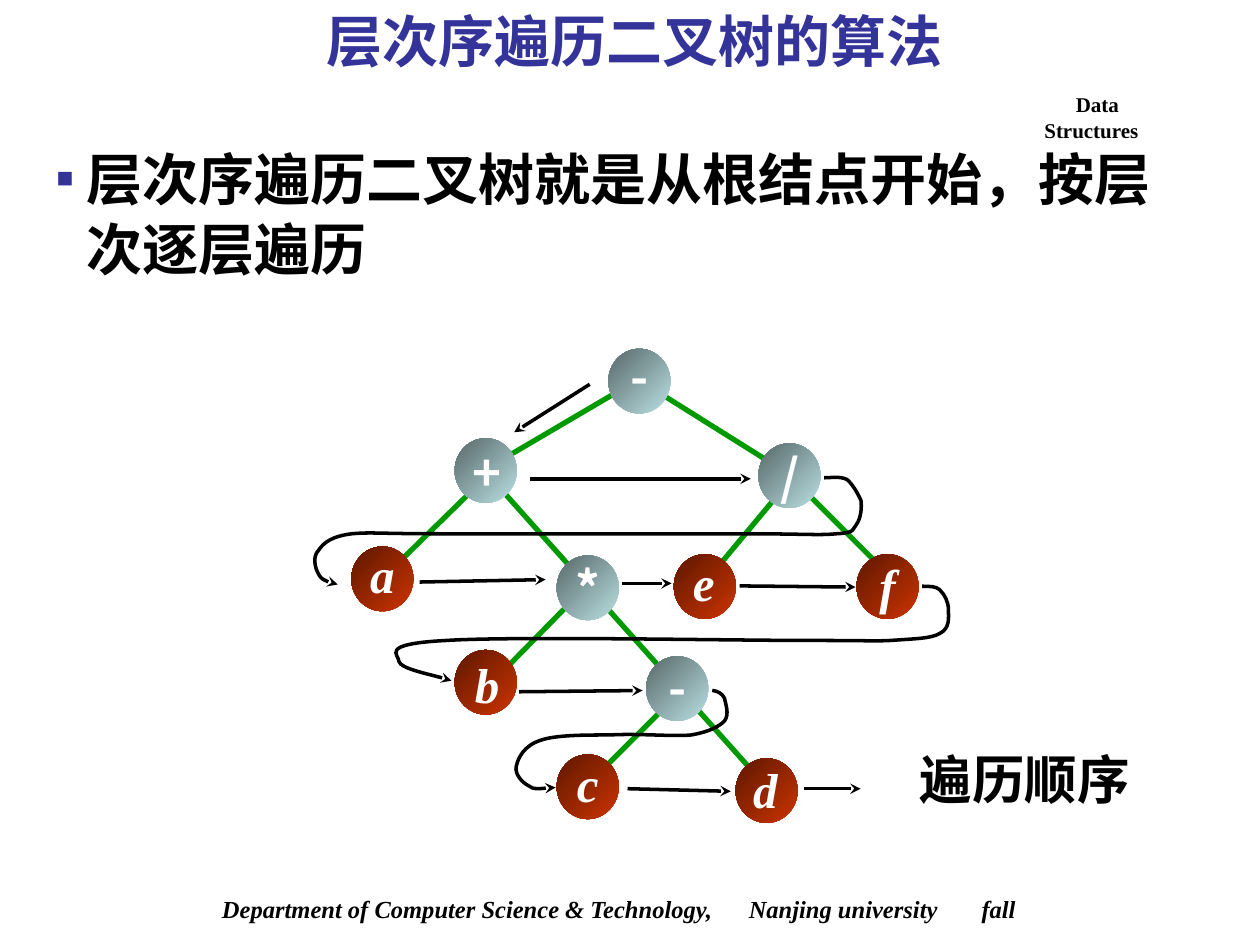
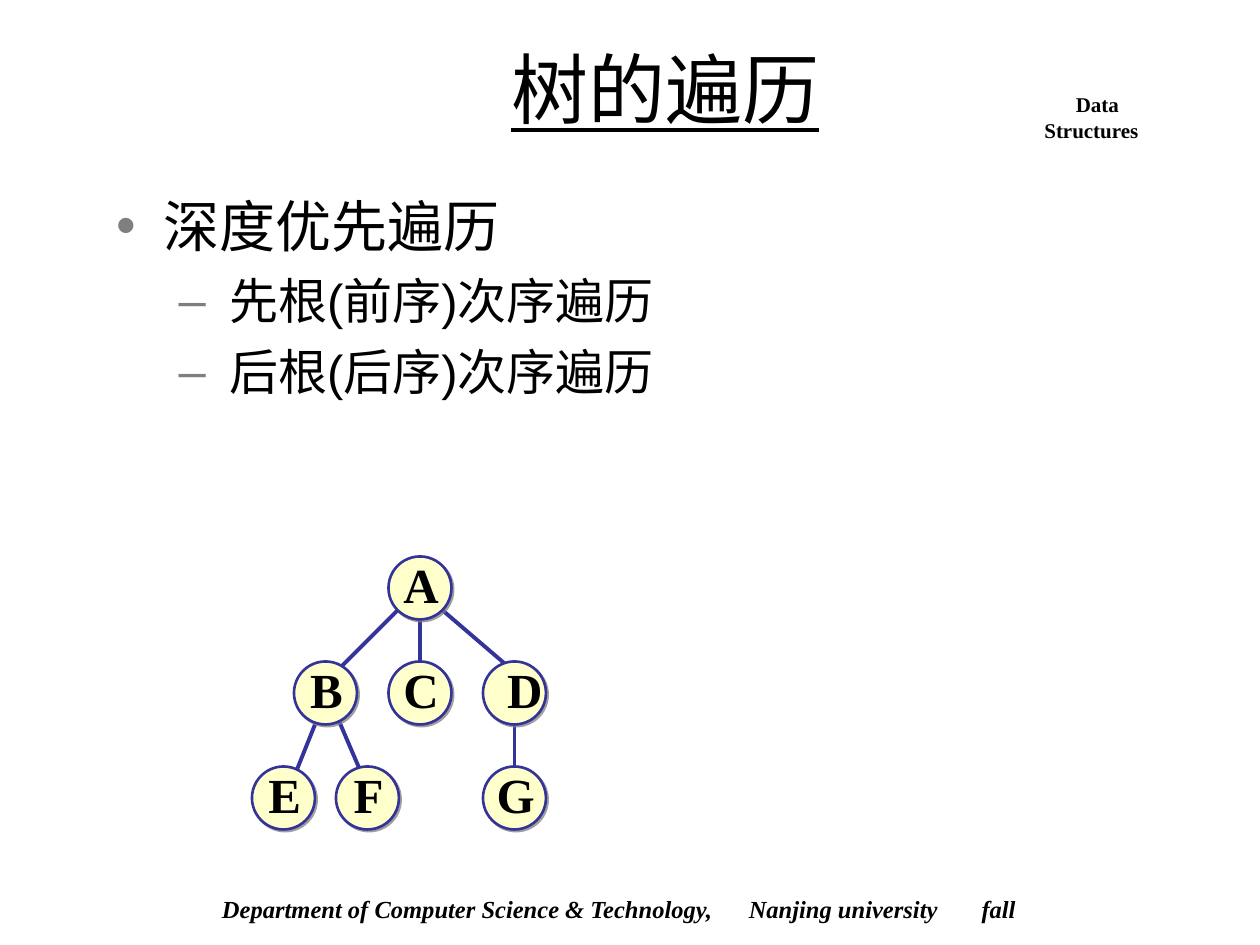
from dataclasses import dataclass

from lxml.etree import SubElement as sub
from pptx import Presentation
from pptx.dml.color import RGBColor
from pptx.enum.shapes import MSO_CONNECTOR as Link, MSO_SHAPE as Kind
from pptx.enum.text import MSO_ANCHOR as Anchor, MSO_AUTO_SIZE as Fit, PP_ALIGN as Align
from pptx.oxml.ns import qn
from pptx.util import Pt

HEX = {"ink": "000000", "white": "FFFFFF", "blue": "333399", "green": "009900",
       "cream": "FFFFCC", "gray": "7F7F7F", "shade": "808080",
       "teal": "BBE0E3", "slate": "576869", "red": "CC3300", "rust": "5E1800"}
SERIF, SANS, CJK = "Times New Roman", "Arial", "Noto Sans CJK SC"


@dataclass(frozen=True)
class Face:
    size: float
    name: str = SERIF
    color: str = "ink"
    bold: bool = True
    italic: bool = False
    under: bool = False


@dataclass(frozen=True)
class Style:
    """Look of a tree node: size, fill colours, outline and label face."""
    width: float
    height: float
    fills: tuple[str, ...]
    face: Face
    edged: bool = False


@dataclass(frozen=True)
class Node:
    """Node centre, and the offset of its label from it."""
    text: str
    x: float
    y: float
    style: Style
    dx: float = 0
    dy: float = 0


@dataclass(frozen=True)
class Stroke:
    color: str
    width: float
    arrow: bool = False


@dataclass(frozen=True)
class Bullet:
    mark: str
    color: str
    left: float
    hang: float
    scale: int = 100


@dataclass(frozen=True)
class Item:
    text: str
    face: Face
    bullet: Bullet
    level: int = 0
    before: float = 0
    lines: float = 1.0


OPER = Style(35.5, 37, ("teal", "slate"), Face(28, CJK, "white"))
LEAF = Style(35.5, 37, ("red", "rust"), Face(28, color="white", italic=True))
DISC = Style(36, 36, ("cream",), Face(28), edged=True)
EDGE = Stroke("green", 3)
WALK = Stroke("ink", 2, arrow=True)
TWIG = Stroke("blue", 2.25)


def rgb(key: str) -> RGBColor:
    return RGBColor.from_string(HEX[key])


def set_face(para, face: Face) -> None:
    font = para.font
    font.size, font.name = Pt(face.size), face.name
    font.bold, font.italic, font.underline = face.bold, face.italic, face.under
    font.color.rgb = rgb(face.color)


def add_box(slide, x: float, y: float, w: float, h: float, wrap: bool = True):
    frame = slide.shapes.add_textbox(Pt(x), Pt(y), Pt(w), Pt(h)).text_frame
    frame.word_wrap = wrap
    return frame


def add_text(slide, text: str, face: Face, x: float, y: float, w: float, h: float) -> None:
    para = add_box(slide, x, y, w, h).paragraphs[0]
    para.text = text
    set_face(para, face)


def set_title(slide, text: str, face: Face, x: float, y: float, w: float, h: float) -> None:
    title = slide.shapes.title
    title.left, title.top, title.width, title.height = Pt(x), Pt(y), Pt(w), Pt(h)
    frame = title.text_frame
    frame.text = text
    frame.margin_left = frame.margin_right = 0
    frame.word_wrap = False
    frame.auto_size, frame.vertical_anchor = Fit.NONE, Anchor.TOP
    para = frame.paragraphs[0]
    para.alignment = Align.CENTER
    set_face(para, face)


def add_list(slide, items: list[Item], x: float, y: float, w: float, h: float) -> None:
    frame = add_box(slide, x, y, w, h)
    for i, item in enumerate(items):
        para = frame.add_paragraph() if i else frame.paragraphs[0]
        para.text, para.level = item.text, item.level
        para.line_spacing, para.space_before = item.lines, Pt(item.before)
        mark, props = item.bullet, para._p.get_or_add_pPr()
        props.set("marL", str(Pt(mark.left)))
        props.set("indent", str(Pt(-mark.hang)))
        sub(sub(props, qn("a:buClr")), qn("a:srgbClr"), val=HEX[mark.color])
        sub(props, qn("a:buSzPct"), val=str(mark.scale * 1000))
        sub(props, qn("a:buFont"), typeface=SANS)
        sub(props, qn("a:buChar"), char=mark.mark)
        set_face(para, item.face)


def set_line(shape, stroke: Stroke) -> None:
    shape.line.color.rgb = rgb(stroke.color)
    shape.line.width = Pt(stroke.width)
    if stroke.arrow:
        sub(shape.element.spPr.find(qn("a:ln")), qn("a:tailEnd"), type="stealth")


def add_lines(slide, ends: list[tuple[float, ...]], stroke: Stroke) -> None:
    for end in ends:
        line = slide.shapes.add_connector(Link.STRAIGHT, *map(Pt, end))
        set_line(line, stroke)
        sub(line.element.spPr, qn("a:effectLst"))


def add_curve(slide, dots: list[tuple[float, float]], stroke: Stroke) -> None:
    """Draw a start point followed by Bezier triples."""
    first, *rest = [(Pt(x), Pt(y)) for x, y in dots]
    pen = slide.shapes.build_freeform(*first, scale=1.0)
    pen.add_line_segments(rest, close=False)
    curve = pen.convert_to_shape()
    curve.fill.background()
    curve.shadow.inherit = False
    set_line(curve, stroke)
    route = curve.element.find(".//" + qn("a:path"))
    legs = route.findall(qn("a:lnTo"))
    for i in range(0, len(legs), 3):
        bend = sub(route, qn("a:cubicBezTo"))
        for leg in legs[i:i + 3]:
            bend.append(leg[0])
            route.remove(leg)


def add_disc(slide, node: Node) -> None:
    style = node.style
    w, h = style.width, style.height
    disc = slide.shapes.add_shape(Kind.OVAL, Pt(node.x - w / 2), Pt(node.y - h / 2), Pt(w), Pt(h))
    disc.shadow.inherit = False
    if len(style.fills) > 1:
        disc.fill.gradient()
        disc.fill.gradient_angle = 135
        for stop, key in zip(disc.fill.gradient_stops, style.fills):
            stop.color.rgb = rgb(key)
    else:
        disc.fill.solid()
        disc.fill.fore_color.rgb = rgb(style.fills[0])
    if not style.edged:
        disc.line.fill.background()
        return
    set_line(disc, Stroke("blue", 1.5))
    cast = sub(disc.element.spPr.find(qn("a:effectLst")), qn("a:outerShdw"), blurRad="0",
               dist=str(Pt(1.4)), dir=str(45 * 60000), algn="ctr", rotWithShape="0")
    tint = sub(cast, qn("a:srgbClr"), val=HEX["shade"])
    sub(tint, qn("a:alpha"), val="75000")


def add_label(slide, node: Node) -> None:
    w, h = 40, 41
    frame = add_box(slide, node.x + node.dx - w / 2, node.y + node.dy - h / 2, w, h, wrap=False)
    frame.vertical_anchor = Anchor.MIDDLE
    para = frame.paragraphs[0]
    para.text, para.alignment = node.text, Align.CENTER
    set_face(para, node.style.face)


def add_nodes(slide, nodes: list[Node]) -> None:
    for draw in (add_disc, add_label):
        for node in nodes:
            draw(slide, node)


def add_marks(slide) -> None:
    """Course name at top right and the footer line."""
    frame = add_box(slide, 589.7, 49, 99.4, 36)
    frame.text = "Data\nStructures"
    frame.paragraphs[0]._p.get_or_add_pPr().set("indent", str(Pt(18)))
    for para in frame.paragraphs:
        set_face(para, Face(12))

    foot = add_box(slide, 59, 507.6, 600.5, 24.5)
    foot.margin_left = Pt(67.9)
    para = foot.paragraphs[0]
    para.text = "Department of Computer Science & Technology,\tNanjing university\tfall"
    tabs = sub(para._p.get_or_add_pPr(), qn("a:tabLst"))
    for stop in (301, 434):
        sub(tabs, qn("a:tab"), pos=str(Pt(stop)), algn="l")
    set_face(para, Face(14, italic=True))


def level_slide(slide) -> None:
    set_title(slide, "层次序遍历二叉树的算法", Face(32, color="blue"), 179.3, 0, 366.5, 46)
    add_marks(slide)

    # Tree edges and nodes
    add_lines(slide, [
        (357.8, 221, 286.6, 262.8), (270, 280.1, 228.2, 321.1),
        (288, 281.5, 431.3, 442.1), (325.4, 344.9, 288, 383),
        (380.9, 403.2, 340.6, 443.5), (445, 282.2, 409, 325.4),
        (375.8, 223.9, 441.4, 265), (460.8, 281.5, 502.6, 323.3)], EDGE)
    add_nodes(slide, [
        Node("-", 365.4, 217.8, OPER, 0, -2.9),
        Node("+", 277.6, 268.9, OPER, 0.4, 0.7),
        Node("/", 451.1, 271.8, OPER, 0.4),
        Node("a", 218.5, 330.8, LEAF, 0, -2.9),
        Node("*", 335.9, 335.9, OPER),
        Node("e", 402.8, 335.2, LEAF, -0.7, -2.9),
        Node("f", 507.2, 335.2, LEAF, 0, -0.7),
        Node("b", 277.6, 389.9, LEAF, 0.7, 0.7),
        Node("-", 387, 393.5, OPER, 0.4, -0.7),
        Node("c", 335.9, 449.6, LEAF, 0, -2.2),
        Node("d", 438.1, 451.8, LEAF, -0.7, -0.7)])

    # Visiting order: along each level, then round to the next
    add_lines(slide, [
        (337, 219.6, 293.8, 247), (303, 273.6, 429, 273.6),
        (239.8, 332.6, 311.8, 331.2), (355.7, 333.4, 383.8, 333.4),
        (422.6, 334.8, 488.9, 335.5), (296.6, 395.3, 367.2, 394.6),
        (358.6, 450.7, 417.6, 452.2), (459.4, 450.7, 491.8, 450.7)], WALK)
    add_curve(slide, [
        (471, 273), (475, 273), (480, 272), (484, 274), (487, 276.5), (490, 281.5), (492, 286),
        (492.5, 290), (492, 296), (489.5, 299.5), (487, 302.5), (489, 304.5), (478, 305),
        (467, 306), (461.5, 305), (424, 305), (386.5, 305), (290, 305), (252.5, 305),
        (215, 305), (213, 304), (201, 305), (189.5, 306.5), (185, 310), (182, 314.5),
        (178.5, 318), (180, 324.5), (182, 328), (183.5, 331), (190, 334), (193, 334)], WALK)
    add_curve(slide, [
        (527, 335), (531, 335), (535, 335), (537, 337), (540, 340), (542, 344), (542, 348.5),
        (542, 353), (543, 359), (537, 362), (532, 365), (522, 365), (509, 366),
        (496, 366.5), (504, 366), (461.5, 366), (419, 366), (294, 363.5), (255, 366),
        (216, 368), (228, 374), (228, 378), (229, 382), (253, 387), (258, 389)], WALK)
    add_curve(slide, [
        (407, 394.5), (410, 395), (412.5, 396), (414, 399), (414.5, 402), (417, 408), (414, 412),
        (411, 415), (406, 418), (395, 420), (384.5, 421), (364, 419), (348.5, 420),
        (334, 420), (317.5, 420), (309, 423), (299.5, 426), (296, 433), (295, 438),
        (294, 442), (298, 447), (302, 449), (305, 451.5), (315, 450), (317.5, 450)], WALK)

    # Caption and statement
    add_text(slide, "遍历顺序", Face(30), 518.4, 423.4, 162, 43)
    add_list(slide, [Item("层次序遍历二叉树就是从根结点开始，按层次逐层遍历", Face(32),
                          Bullet("■", "blue", 17, 17, 50), lines=1.05)], 25.2, 77, 663, 88)


def tree_slide(slide) -> None:
    set_title(slide, "树的遍历", Face(44, SANS, bold=False, under=True), 269.3, 20.2, 221.8, 54)
    add_marks(slide)

    # Kinds of traversal
    dash, plain = Bullet("–", "gray", 64.5, 29), Face(28, SANS, bold=False)
    add_list(slide, [
        Item("深度优先遍历", Face(32, SANS, bold=False), Bullet("•", "gray", 27, 27)),
        Item("先根(前序)次序遍历", plain, dash, 1, 7),
        Item("后根(后序)次序遍历", plain, dash, 1, 7)], 59.5, 105.8, 612, 216)

    # Sample tree
    add_lines(slide, [
        (294, 408, 294, 444), (192, 408, 210, 450), (180, 414, 168, 444),
        (252, 348, 294, 384), (240, 354, 240, 384), (228, 348, 192, 384)], TWIG)
    rows = [[("A", 240)], [("B", 186), ("C", 240), ("D", 294)], [("E", 162), ("F", 210), ("G", 294)]]
    add_nodes(slide, [
        Node(name, x, 336 + 60 * i, DISC, 5.8 if name == "D" else 0.6, -2.5)
        for i, row in enumerate(rows) for name, x in row])


def main() -> None:
    deck = Presentation()
    deck.slide_width, deck.slide_height = Pt(720), Pt(540)
    for build in (level_slide, tree_slide):
        build(deck.slides.add_slide(deck.slide_layouts[5]))
    deck.save("out.pptx")


if __name__ == "__main__":
    main()
